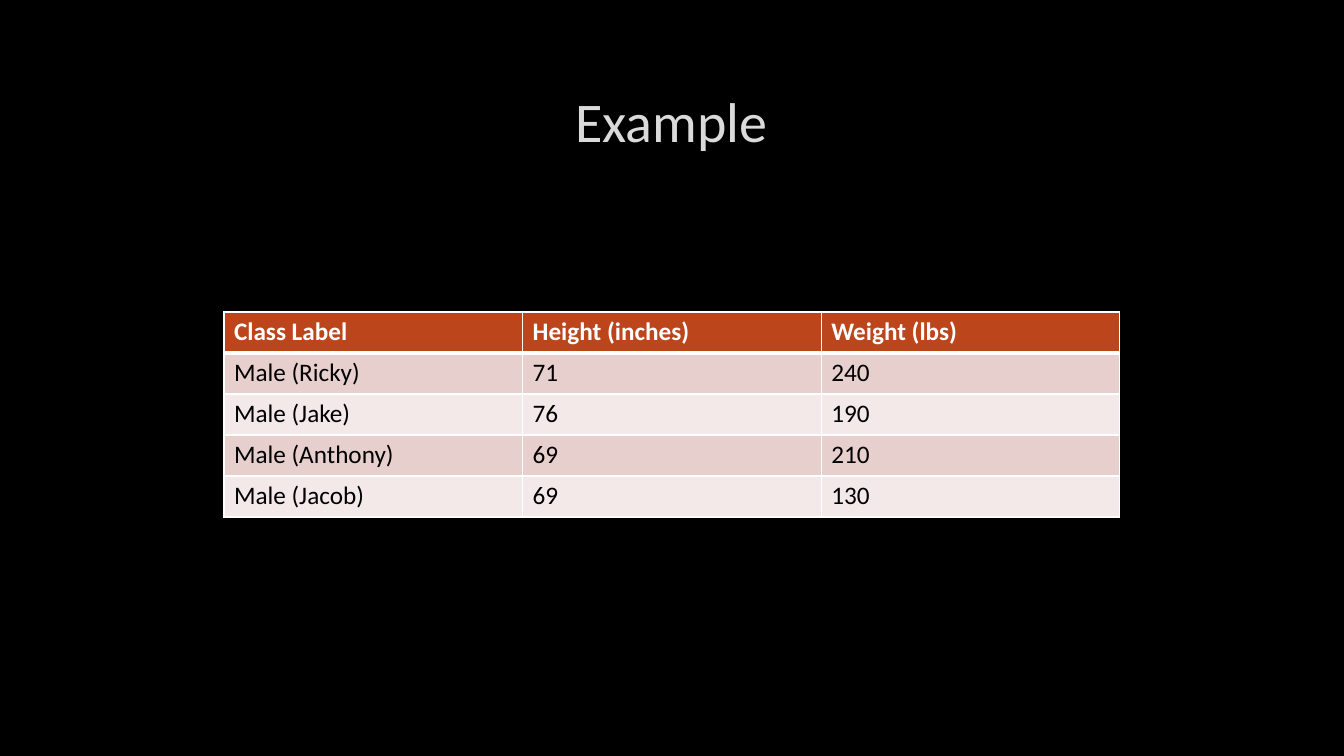
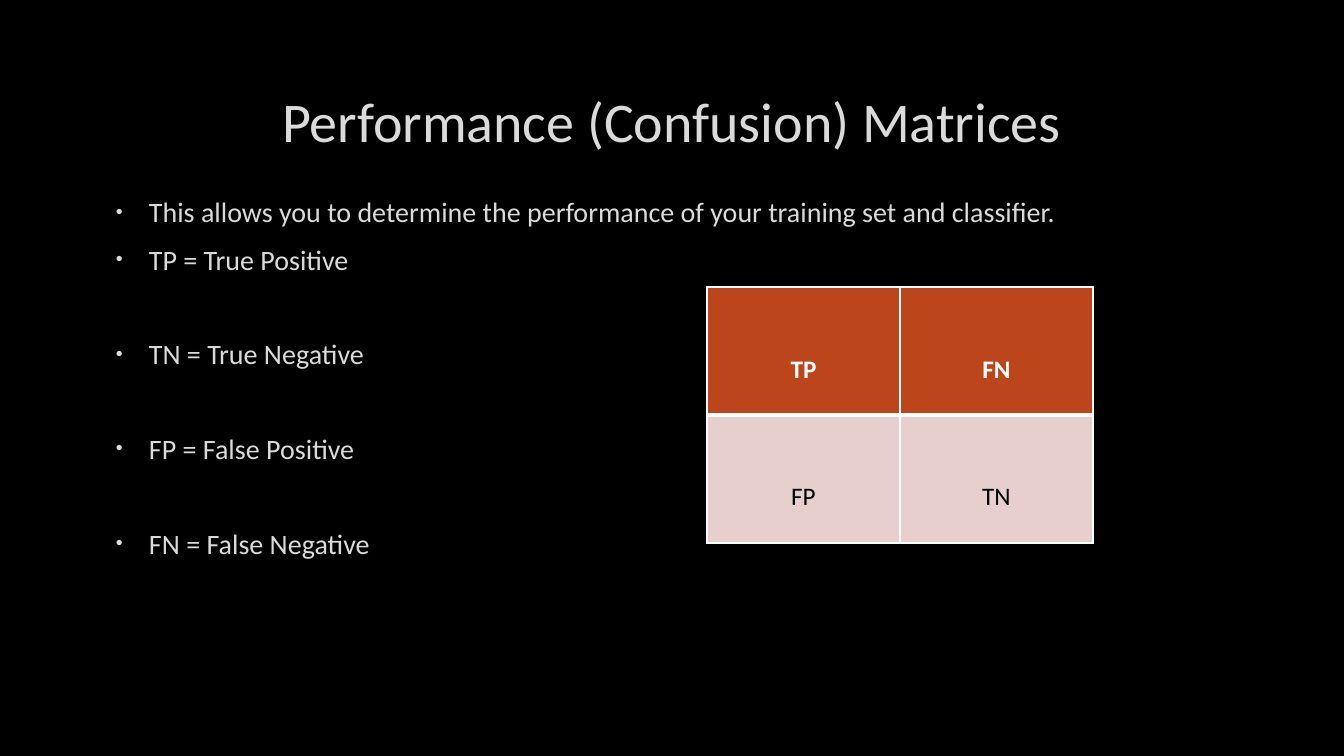
from lxml import etree
from pptx import Presentation
from pptx.dml.color import RGBColor
from pptx.enum.text import MSO_ANCHOR, PP_ALIGN
from pptx.oxml.ns import qn
from pptx.util import Pt

LEFT, CENTER = PP_ALIGN.LEFT, PP_ALIGN.CENTER
TOP, MIDDLE = MSO_ANCHOR.TOP, MSO_ANCHOR.MIDDLE

BLACK = RGBColor(0x00, 0x00, 0x00)
WHITE = RGBColor(0xFF, 0xFF, 0xFF)
GREY = RGBColor(0xDA, 0xDA, 0xDA)
RUST = RGBColor(0xBC, 0x45, 0x1B)
BANDS = [RGBColor(0xE7, 0xCF, 0xCD), RGBColor(0xF3, 0xE9, 0xE8)]

FONT = "Calibri"
PX = 914400 / 100.8  # EMU in one pixel
TITLE_BOX = [round(v * PX) for v in (101, 67, 1141, 107)]


def write(p, text, size=18, color=BLACK, bold=False, align=LEFT, before=0, after=0):
    p.alignment = align
    p.space_before, p.space_after = Pt(before), Pt(after)
    r = p.add_run()
    r.text = text
    r.font.name, r.font.size, r.font.bold = FONT, Pt(size), bold
    r.font.color.rgb = color


def add_grid(s, rows, left, top, col_width, row_height, align=LEFT, margin_top=5):
    """Add a table with a rust header, banded rows and white rules."""
    n_cols = len(rows[0])
    box = (left, top, n_cols * col_width, len(rows) * row_height)
    table = s.shapes.add_table(len(rows), n_cols, *[round(v * PX) for v in box]).table
    table.horz_banding = False
    for i, row in enumerate(rows):
        header = i == 0
        for j, text in enumerate(row):
            cell = table.cell(i, j)
            cell.vertical_anchor = TOP
            cell.margin_top = round(margin_top * PX)
            cell.fill.solid()
            cell.fill.fore_color.rgb = RUST if header else BANDS[(i - 1) % 2]
            write(cell.text_frame.paragraphs[0], text, bold=header, align=align,
                  color=WHITE if header else BLACK)
            # Borders come before the fill; the rule under the header is thick
            tc_pr = cell._tc.get_or_add_tcPr()
            widths = {"L": 1, "R": 1, "T": 3 if i == 1 else 1, "B": 3 if header else 1}
            for k, (side, width) in enumerate(widths.items()):
                ln = etree.Element(qn(f"a:ln{side}"), w=str(Pt(width)))
                fill = etree.SubElement(ln, qn("a:solidFill"))
                etree.SubElement(fill, qn("a:srgbClr"), val=str(WHITE))
                tc_pr.insert(k, ln)


prs = Presentation()
prs.slide_width, prs.slide_height = round(1344 * PX), round(756 * PX)

# Shared background
background = prs.slide_master.background.fill
background.solid()
background.fore_color.rgb = BLACK

# Slides with their titles
slides = []
for title in ("Example", "Performance (Confusion) Matrices"):
    s = prs.slides.add_slide(prs.slide_layouts[5])
    sp = s.shapes.title
    sp.left, sp.top, sp.width, sp.height = TITLE_BOX
    sp.text_frame.vertical_anchor = MIDDLE
    write(sp.text_frame.paragraphs[0], title, size=40, color=GREY, align=CENTER)
    slides.append(s)
example, matrices = slides

# Example: sample data
add_grid(example, [
    ("Class Label", "Height (inches)", "Weight (lbs)"),
    ("Male (Ricky)", "71", "240"),
    ("Male (Jake)", "76", "190"),
    ("Male (Anthony)", "69", "210"),
    ("Male (Jacob)", "69", "130"),
], left=224, top=312, col_width=896 / 3, row_height=41)

# Matrices: bulleted terms, the last three set one line further apart
terms = [
    ("This allows you to determine the performance of your training set and classifier.", 3.6),
    ("TP = True Positive", 3.6),
    ("TN = True Negative", 37.6),
    ("FP = False Positive", 37.6),
    ("FN = False Negative", 37.6),
]
body = [round(v * PX) for v in (101, 190, 1141, 448)]
tf = matrices.shapes.add_textbox(*body).text_frame
tf.word_wrap = True
for i, (text, before) in enumerate(terms):
    p = tf.add_paragraph() if i else tf.paragraphs[0]
    write(p, text, size=20, color=GREY, before=before, after=6)
    p_pr = p._p.get_or_add_pPr()
    p_pr.set("marL", str(round(38 * PX)))
    p_pr.set("indent", str(round(-33 * PX)))
    bullet_color = etree.SubElement(p_pr, qn("a:buClr"))
    etree.SubElement(bullet_color, qn("a:srgbClr"), val=str(GREY))
    etree.SubElement(p_pr, qn("a:buSzPct"), val="70000")
    etree.SubElement(p_pr, qn("a:buFont"), typeface="Arial")
    etree.SubElement(p_pr, qn("a:buChar"), char="•")

# Matrices: confusion matrix, labels set low in their cells
add_grid(matrices, [("TP", "FN"), ("FP", "TN")], left=707, top=287,
         col_width=193, row_height=128, align=CENTER, margin_top=67)

prs.save("out.pptx")
